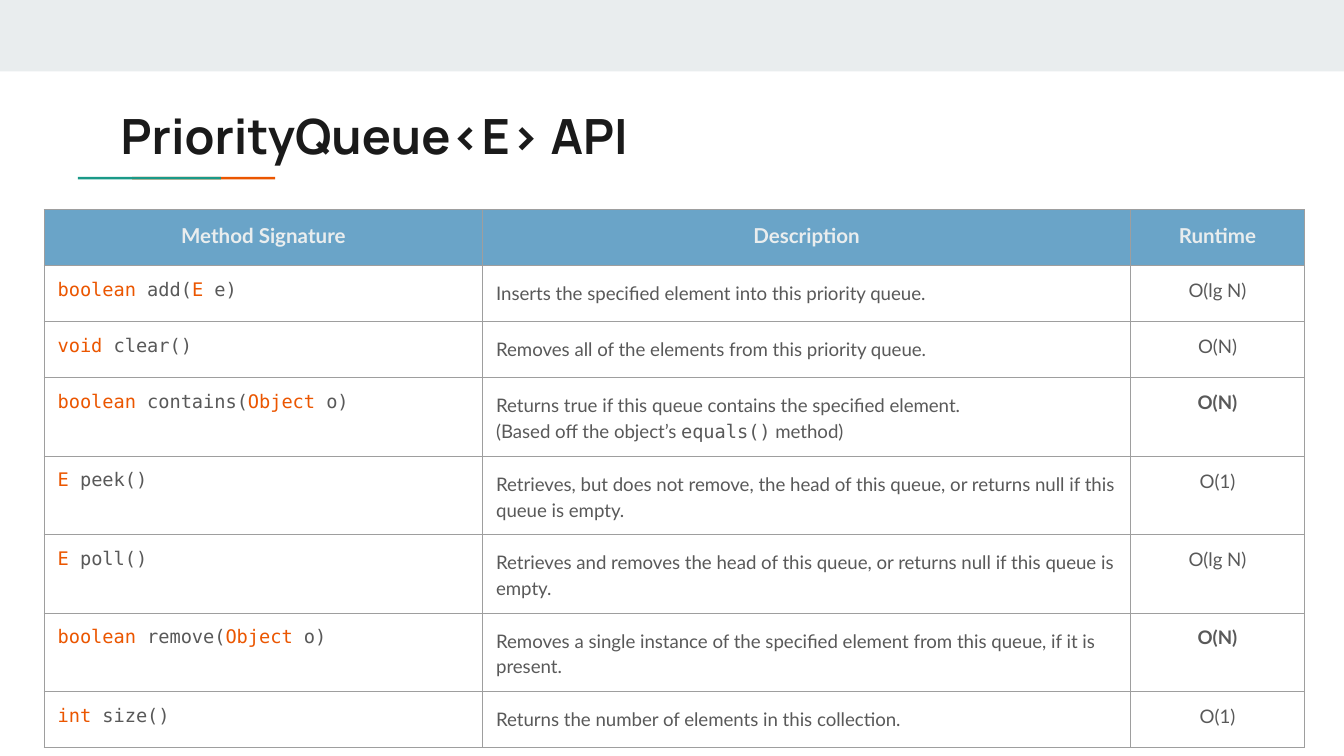
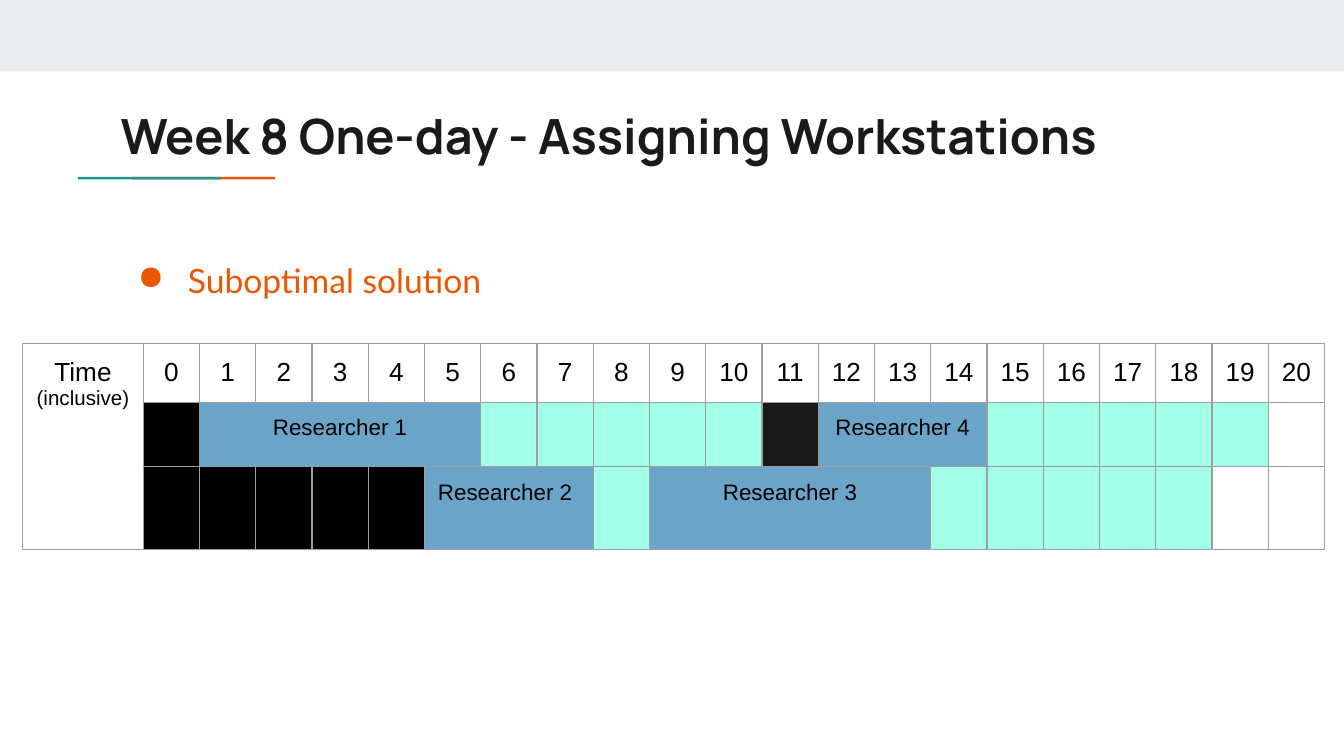
from dataclasses import dataclass

import pptx
import pptx.dml.color
import pptx.enum.shapes
import pptx.enum.text
import pptx.oxml
import pptx.oxml.ns
import pptx.util
from lxml import etree

Pt = pptx.util.Pt
RGBColor = pptx.dml.color.RGBColor
Align = pptx.enum.text.PP_ALIGN
qn = pptx.oxml.ns.qn

MIST = RGBColor(0xE9, 0xED, 0xEE)
ORANGE = RGBColor(0xEB, 0x56, 0x00)
GREEN = RGBColor(0x1A, 0x99, 0x88)
INK = RGBColor(0x1A, 0x1A, 0x1A)
GRAY = RGBColor(0x59, 0x59, 0x59)
BLUE = RGBColor(0x6A, 0xA4, 0xC8)
MINT = RGBColor(0xA2, 0xFF, 0xE8)
BLACK = RGBColor(0, 0, 0)
BORDER = RGBColor(0x9E, 0x9E, 0x9E)

TITLE_FONT, BODY_FONT, CODE_FONT, GRID_FONT = "Manrope", "Lato", "DejaVu Sans Mono", "Arial"
PAGE_WIDTH, PAGE_HEIGHT = 720, 405
INSET = 7.2


@dataclass(frozen=True)
class Bar:
    left: float
    top: float
    width: float
    height: float
    color: RGBColor


@dataclass(frozen=True)
class Method:
    """Signature pieces alternate keyword and plain; description pieces alternate prose and code."""
    signature: tuple[str, ...]
    description: tuple[str, ...]
    runtime: str
    slow: bool = False


@dataclass(frozen=True)
class Block:
    """A stretch of hours on one workstation; a labelled one is merged."""
    workstation: int
    start: int
    hours: int
    color: RGBColor
    label: str = ""
    align: Align = Align.CENTER


BARS = (
    Bar(0, 0, PAGE_WIDTH, 38.3, MIST),
    Bar(70.8, 94.7, 76.6, 1.4, ORANGE),
    Bar(41.8, 94.7, 76.6, 1.4, GREEN),
)

HEADINGS = ("Method Signature", "Description", "Runtime")
METHODS = (
    Method(("boolean", " add(", "E", " e)"),
           ("Inserts the specified element into this priority queue.",), "O(lg N)"),
    Method(("void", " clear()"),
           ("Removes all of the elements from this priority queue.",), "O(N)"),
    Method(("boolean", " contains(", "Object", " o)"),
           ("Returns true if this queue contains the specified element.\n(Based off the object’s ",
            "equals()", " method)"), "O(N)", slow=True),
    Method(("E", " peek()"),
           ("Retrieves, but does not remove, the head of this queue, "
            "or returns null if this queue is empty.",), "O(1)"),
    Method(("E", " poll()"),
           ("Retrieves and removes the head of this queue, "
            "or returns null if this queue is empty.",), "O(lg N)"),
    Method(("boolean", " remove(", "Object", " o)"),
           ("Removes a single instance of the specified element from this queue, "
            "if it is present.",), "O(N)", slow=True),
    Method(("int ", "size()"),
           ("Returns the number of elements in this collection.",), "O(1)"),
)

HOURS = 21
BLOCKS = (
    Block(1, 0, 1, BLACK),
    Block(1, 1, 5, BLUE, "Researcher 1"),
    Block(1, 6, 5, MINT),
    Block(1, 11, 1, INK),
    Block(1, 12, 3, BLUE, "Researcher 4"),
    Block(1, 15, 5, MINT),
    Block(2, 0, 5, BLACK),
    Block(2, 5, 3, BLUE, "Researcher 2", Align.LEFT),
    Block(2, 8, 1, MINT),
    Block(2, 9, 5, BLUE, "Researcher 3"),
    Block(2, 14, 5, MINT),
)


def add_text(para, text: str, *, font: str, size: float, color: RGBColor,
             bold: bool = False, align: Align = Align.LEFT, spacing: float = 1.0) -> None:
    """Append text to a paragraph; a newline becomes a line break."""
    para.alignment = align
    para.line_spacing = spacing
    for index, line in enumerate(text.split("\n")):
        if index:
            para.add_line_break()
        span = para.add_run()
        span.text = line
        span.font.name = font
        span.font.size = Pt(size)
        span.font.bold = bold
        span.font.color.rgb = color


def add_box(page, left: float, top: float, width: float, height: float):
    """Add a wrapping text box and return its first paragraph."""
    frame = page.shapes.add_textbox(Pt(left), Pt(top), Pt(width), Pt(height)).text_frame
    frame.word_wrap = True
    frame.margin_left = frame.margin_right = Pt(INSET)
    frame.margin_top = frame.margin_bottom = Pt(INSET)
    return frame.paragraphs[0]


def add_bar(page, bar: Bar) -> None:
    shape = page.shapes.add_shape(pptx.enum.shapes.MSO_SHAPE.RECTANGLE, Pt(bar.left),
                                  Pt(bar.top), Pt(bar.width), Pt(bar.height))
    shape.shadow.inherit = False
    shape.fill.solid()
    shape.fill.fore_color.rgb = bar.color
    shape.line.fill.background()


def add_page(deck, title: str):
    page = deck.slides.add_slide(deck.slide_layouts[6])
    for bar in BARS:
        add_bar(page, bar)
    add_text(add_box(page, 57.6, 49.7, 605.5, 42.5), title,
             font=TITLE_FONT, size=26, color=INK, bold=True)
    return page


def add_bullet(para, color: RGBColor) -> None:
    properties = para._p.get_or_add_pPr()
    properties.set("marL", str(Pt(36)))
    properties.set("indent", str(-Pt(27)))
    bullet_color = etree.SubElement(properties, qn("a:buClr"))
    etree.SubElement(bullet_color, qn("a:srgbClr"), val=str(color))
    etree.SubElement(properties, qn("a:buChar"), char="●")


def add_borders(cell) -> None:
    properties = cell._tc.get_or_add_tcPr()
    for side in ("lnL", "lnR", "lnT", "lnB"):
        line = etree.SubElement(properties, qn(f"a:{side}"), w=str(Pt(0.75)))
        fill = etree.SubElement(line, qn("a:solidFill"))
        etree.SubElement(fill, qn("a:srgbClr"), val=str(BORDER))


def add_grid(page, left: float, top: float, widths: list[float], heights: list[float]):
    """Add a table of bordered, unfilled cells."""
    table = page.shapes.add_table(len(heights), len(widths), Pt(left), Pt(top),
                                  Pt(sum(widths)), Pt(sum(heights))).table
    table.first_row = table.horz_banding = False
    for column, width in zip(table.columns, widths):
        column.width = Pt(width)
    for row, height in zip(table.rows, heights):
        row.height = Pt(height)
    for cell in table.iter_cells():
        cell.margin_left = cell.margin_right = Pt(INSET)
        cell.margin_top = cell.margin_bottom = Pt(INSET)
        add_borders(cell)
        cell.fill.background()
        # Keeps empty cells from stretching their row.
        etree.SubElement(cell.text_frame.paragraphs[0]._p, qn("a:endParaRPr"), sz="1200")
    return table


def fill_cell(cell, color: RGBColor) -> None:
    cell.fill.solid()
    cell.fill.fore_color.rgb = color


def build_api_page(deck) -> None:
    page = add_page(deck, "PriorityQueue<E> API")
    table = add_grid(page, 23.7, 112.4, [234.9, 347.1, 93.2], [30] * (len(METHODS) + 1))
    for column, heading in enumerate(HEADINGS):
        cell = table.cell(0, column)
        fill_cell(cell, BLUE)
        add_text(cell.text_frame.paragraphs[0], heading, font=BODY_FONT, size=11,
                 color=MIST, bold=True, align=Align.CENTER)
    for row, method in enumerate(METHODS, start=1):
        signature, description, runtime = (
            table.cell(row, column).text_frame.paragraphs[0] for column in range(3))
        for index, piece in enumerate(method.signature):
            add_text(signature, piece, font=CODE_FONT, size=10,
                     color=GRAY if index % 2 else ORANGE)
        for index, piece in enumerate(method.description):
            add_text(description, piece, font=CODE_FONT if index % 2 else BODY_FONT,
                     size=10, color=GRAY, spacing=1.15)
        add_text(runtime, method.runtime, font=BODY_FONT, size=10, color=GRAY,
                 bold=method.slow, align=Align.CENTER)


def build_schedule_page(deck) -> None:
    page = add_page(deck, "Week 8 One-day - Assigning Workstations")
    bullet = add_box(page, 57.6, 121, 605.5, 33.8)
    add_text(bullet, "Suboptimal solution", font=BODY_FONT, size=18, color=ORANGE, spacing=1.5)
    add_bullet(bullet, ORANGE)

    table = add_grid(page, 12.2, 184.2, [64.6] + [30.14] * HOURS, [30.9, 34.6, 42.3])
    corner = table.cell(0, 0)
    corner.merge(table.cell(2, 0))
    for text, size in (("Time ", 14), ("(inclusive)", 11)):
        add_text(corner.text_frame.paragraphs[0], text, font=GRID_FONT, size=size,
                 color=BLACK, align=Align.CENTER)
    for hour in range(HOURS):
        add_text(table.cell(0, hour + 1).text_frame.paragraphs[0], str(hour),
                 font=GRID_FONT, size=14, color=BLACK, align=Align.CENTER)
    for block in BLOCKS:
        cells = [table.cell(block.workstation, block.start + offset + 1)
                 for offset in range(block.hours)]
        for cell in cells:
            fill_cell(cell, block.color)
        if block.label:
            cells[0].merge(cells[-1])
            add_text(cells[0].text_frame.paragraphs[0], block.label, font=GRID_FONT,
                     size=12, color=BLACK, align=block.align)


def main() -> None:
    deck = pptx.Presentation()
    deck.slide_width, deck.slide_height = Pt(PAGE_WIDTH), Pt(PAGE_HEIGHT)
    build_api_page(deck)
    build_schedule_page(deck)
    deck.save("out.pptx")


if __name__ == "__main__":
    main()
